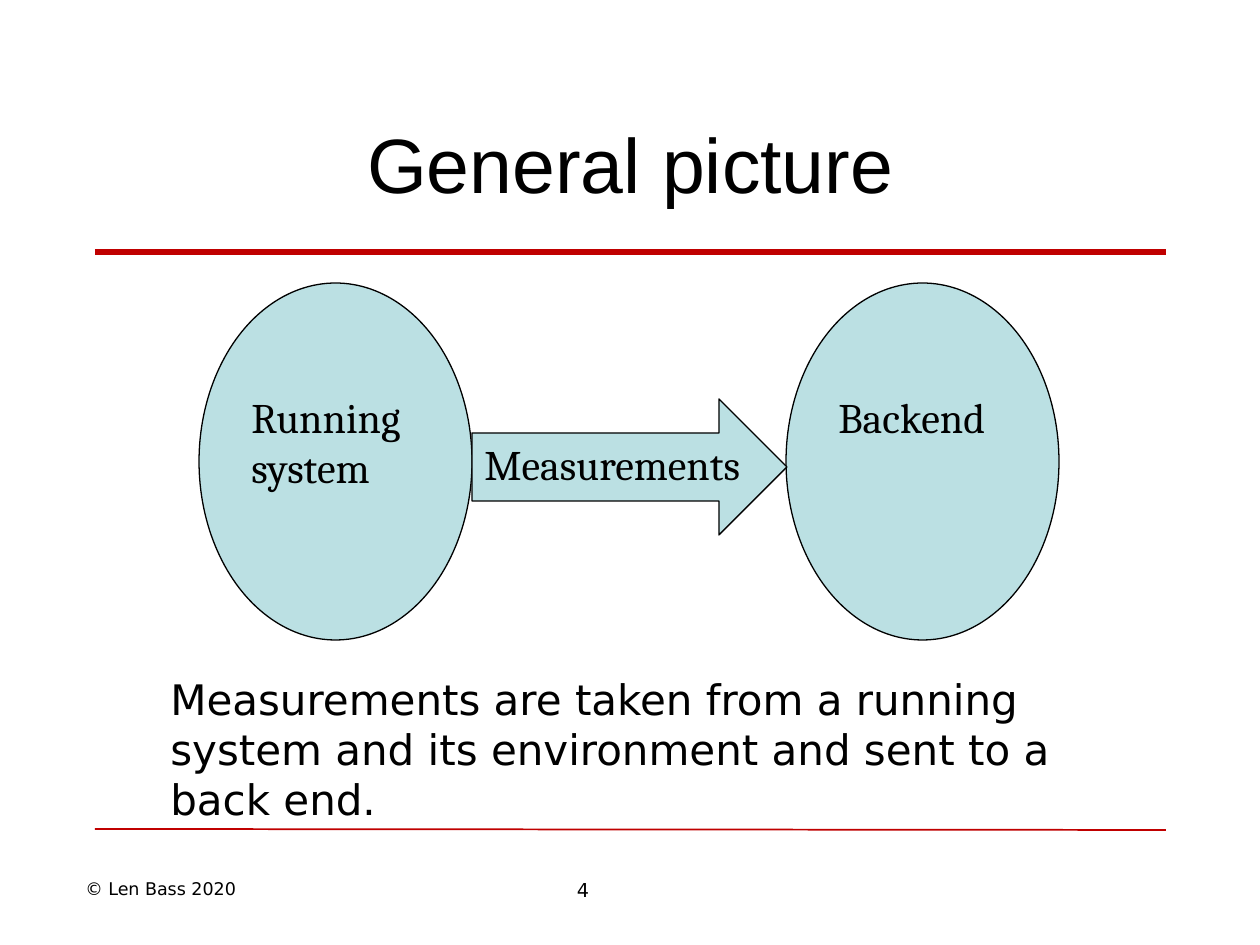
from pptx import Presentation
from pptx.dml.color import RGBColor
from pptx.enum.shapes import MSO_CONNECTOR, MSO_SHAPE
from pptx.enum.text import MSO_ANCHOR, PP_ALIGN
from pptx.oxml.ns import qn
from pptx.util import Pt
from lxml.etree import SubElement

PX = 914400 / 126  # EMU in one px
BLACK = RGBColor(0x00, 0x00, 0x00)
WHITE = RGBColor(0xFF, 0xFF, 0xFF)
RED = RGBColor(0xC0, 0x00, 0x00)
TEAL = RGBColor(0xBB, 0xE0, 0xE3)
SANS, SERIF = "DejaVu Sans", "Cambria"

# Content: boxes are left, top, width, height in px
TITLE = ("General picture", (95, 84, 1071, 158))
RULES = [((95, 252), (1166, 252), 3), ((95, 829), (1166, 830), 1)]
# text, box, top margin
NODES = [
    ("Running system", MSO_SHAPE.OVAL, (199, 283, 273, 357), 56),
    ("Backend", MSO_SHAPE.OVAL, (786, 283, 273, 357), 56),
    ("Measurements", MSO_SHAPE.RIGHT_ARROW, (472, 399, 315, 136), 6),
]
# text, box, size, alignment
TEXTS = [
    ("© Len Bass 2020", (73, 872, 273, 34), 10, PP_ALIGN.LEFT),
    ("4", (504, 872, 158, 36), 11, PP_ALIGN.CENTER),
    ("Measurements are taken from a running system and its environment "
     "and sent to a back end.", (158, 667, 998, 165), 24, PP_ALIGN.LEFT),
]


def px(*lengths):
    return [round(length * PX) for length in lengths]


def write(shape, text, font, size, align=PP_ALIGN.LEFT, anchor=MSO_ANCHOR.TOP):
    frame = shape.text_frame
    frame.word_wrap = True
    frame.vertical_anchor = anchor
    para = frame.paragraphs[0]
    para.alignment = align
    span = para.add_run()
    span.text = text
    span.font.color.rgb = BLACK
    for name, value in {"name": font, "size": Pt(size)}.items():
        setattr(span.font, name, value)


deck = Presentation()
deck.slide_width, deck.slide_height = px(1260, 945)
page = deck.slides.add_slide(deck.slide_layouts[5])
page.background.fill.solid()
page.background.fill.fore_color.rgb = WHITE

# Title
text, box = TITLE
title = page.shapes.title
title.left, title.top, title.width, title.height = px(*box)
write(title, text, "Arial", 44, PP_ALIGN.CENTER, MSO_ANCHOR.MIDDLE)

# Rules above and below the content
for start, end, weight in RULES:
    rule = page.shapes.add_connector(MSO_CONNECTOR.STRAIGHT, *px(*start, *end))
    rule.line.color.rgb = RED
    rule.line.width = Pt(weight)
    SubElement(rule._element.spPr, qn("a:effectLst"))

# Diagram: two ovals joined by a block arrow
for text, kind, box, margin in NODES:
    node = page.shapes.add_shape(kind, *px(*box))
    node.shadow.inherit = False
    node.fill.solid()
    node.fill.fore_color.rgb = TEAL
    node.line.color.rgb = BLACK
    node.line.width = Pt(0.75)
    node.text_frame.margin_top = px(margin)[0]
    write(node, text, SERIF, 24)

# Explanation, footer and page number
for text, box, size, align in TEXTS:
    write(page.shapes.add_textbox(*px(*box)), text, SANS, size, align)

deck.save("out.pptx")
